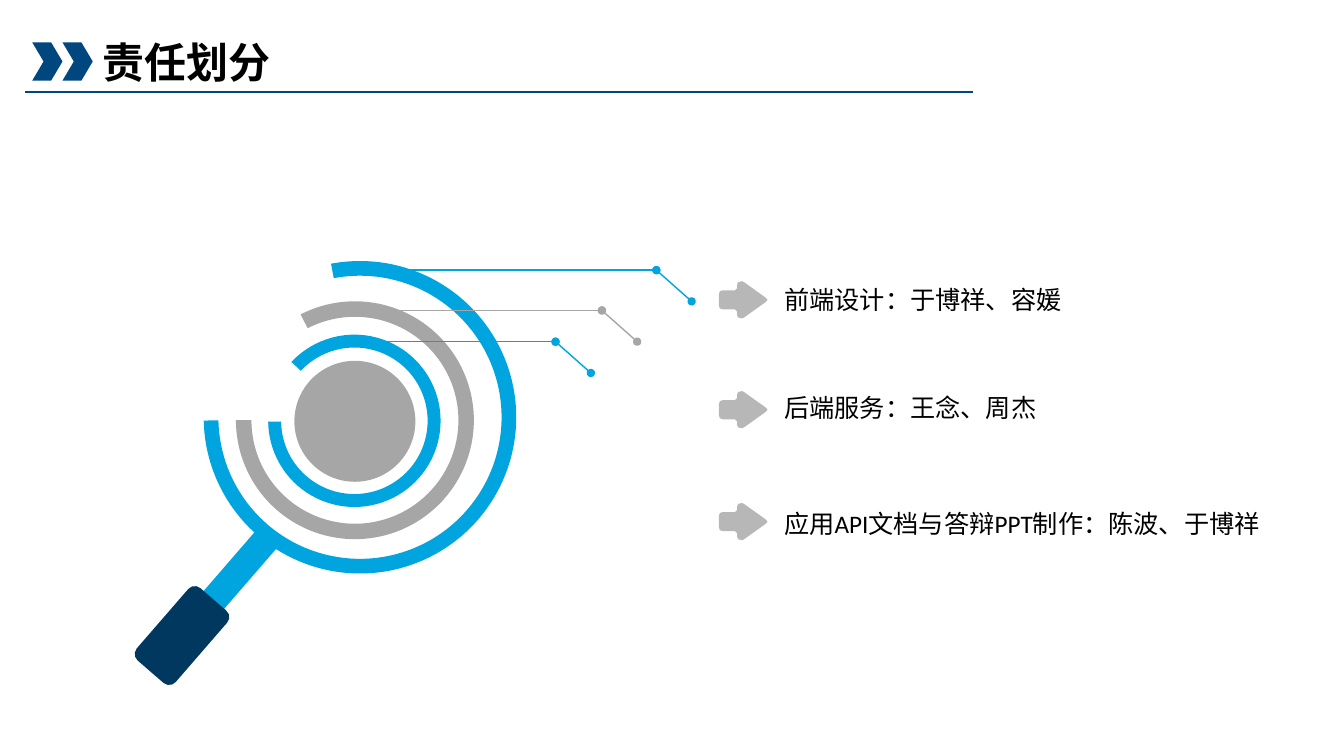
from pptx import Presentation, util as u
from pptx.dml import color
from pptx.enum import shapes, text
from pptx.oxml import parse_xml, ns

BLUE, GRAY, NAVY, DEEP = "00A5E0", "A6A6A6", "00467F", "003860"
SHAPE = shapes.MSO_SHAPE


def paint(part, fill, turn=0, adjust=()):
    part.shadow.inherit = False
    part.fill.solid()
    part.fill.fore_color.rgb = color.RGBColor.from_string(fill)
    part.line.fill.background()
    part.rotation = turn
    for index, value in enumerate(adjust):
        part.adjustments[index] = value


def draw_line(start, end, hue, width, dots=False):
    rule = slide.shapes.add_connector(
        shapes.MSO_CONNECTOR.STRAIGHT, *(u.Inches(v) for v in start + end))
    rule.line.color.rgb = color.RGBColor.from_string(hue)
    rule.line.width = u.Pt(width)
    if dots:
        for side in ("headEnd", "tailEnd"):
            rule.line._get_or_add_ln().append(
                parse_xml(f'<a:{side} {ns.nsdecls("a")} type="oval"/>'))
    rule._element.spPr.append(parse_xml(f'<a:effectLst {ns.nsdecls("a")}/>'))


deck = Presentation()
deck.slide_width, deck.slide_height = u.Inches(13.33), u.Inches(7.5)
slide = deck.slides.add_slide(deck.slide_layouts[5])

heading = slide.shapes.title
heading.left, heading.top = u.Inches(0.92), u.Inches(0.31)
heading.width, heading.height = u.Inches(2.9), u.Inches(1.11)
heading.text_frame.text = "责任划分"
heading.text_frame.auto_size = text.MSO_AUTO_SIZE.NONE
heading.text_frame.vertical_anchor = text.MSO_ANCHOR.TOP
heading_line = heading.text_frame.paragraphs[0]
heading_line.alignment = text.PP_ALIGN.LEFT
heading_font = heading_line.runs[0].font
heading_font.name, heading_font.size, heading_font.bold = "Arial", u.Pt(30), True
heading_font.color.rgb = color.RGBColor.from_string("000000")

draw_line((0.25, 0.91), (9.65, 0.91), NAVY, 1.5)
for column in range(2):
    chevron = slide.shapes.add_shape(
        SHAPE.CHEVRON, u.Inches(0.32 + 0.3 * column), u.Inches(0.42),
        u.Inches(0.3), u.Inches(0.38))
    paint(chevron, NAVY, adjust=[0.375])

ANGLE_UNIT = 0.6
lens_and_handle = [
    (SHAPE.BLOCK_ARC, 2.34, 2.99, 2.36, 2.36, GRAY, 45,
     (197.83 * ANGLE_UNIT, 135.07 * ANGLE_UNIT, 0.065)),
    (SHAPE.RECTANGLE, 2.17, 5.14, 0.27, 1.2, BLUE, 40.9, ()),
    (SHAPE.ROUNDED_RECTANGLE, 1.55, 5.83, 0.51, 0.95, DEEP, 40.9, ()),
    (SHAPE.BLOCK_ARC, 2.02, 2.59, 3.1, 3.1, BLUE, 45,
     (214.33 * ANGLE_UNIT, 133.78 * ANGLE_UNIT, 0.047)),
    (SHAPE.BLOCK_ARC, 2.66, 3.32, 1.71, 1.71, BLUE, 45,
     (178.06 * ANGLE_UNIT, 134.45 * ANGLE_UNIT, 0.075)),
    (SHAPE.OVAL, 2.92, 3.58, 1.2, 1.2, GRAY, 0, ()),
]
for kind, left, top, width, height, hue, turn, adjust in lens_and_handle:
    piece = slide.shapes.add_shape(
        kind, *(u.Inches(v) for v in (left, top, width, height)))
    paint(piece, hue, turn, adjust)

for bend, level, hue in [(6.51, 2.68, BLUE), (5.97, 3.08, GRAY), (5.51, 3.39, BLUE)]:
    draw_line((bend + 0.35, level + 0.31), (bend, level), hue, 1, dots=True)
    draw_line((bend, level), (3.58, level), hue, 1, dots=True)

upper_half = [(0, 0.13), (0.01, 0.1), (0.04, 0.09), (0.16, 0.09), (0.18, 0.07),
              (0.18, 0.04), (0.19, 0.01), (0.23, 0), (0.25, 0.01),
              (0.46, 0.16), (0.48, 0.18)]
arrow_outline = upper_half + [(x, 0.37 - y) for x, y in reversed(upper_half)]
duties = [
    (2.79, 2.77, 2.98, "Calibri", "前端设计：于博祥、容媛"),
    (3.88, 3.84, 3.12, "Arial", "后端服务：王念、周杰"),
    (4.99, 4.99, 4.94, "Calibri", "应用API文档与答辩PPT制作：陈波、于博祥"),
]
for arrow_top, duty_top, width, face, wording in duties:
    points = [(u.Inches(7.13 + x), u.Inches(arrow_top + y)) for x, y in arrow_outline]
    builder = slide.shapes.build_freeform(*points[0])
    builder.add_line_segments(points[1:], close=True)
    arrow = builder.convert_to_shape()
    paint(arrow, "808080")
    arrow.fill._xPr.solidFill[0].append(
        parse_xml(f'<a:alpha {ns.nsdecls("a")} val="56000"/>'))

    duty = slide.shapes.add_textbox(
        *(u.Inches(v) for v in (7.68, duty_top, width, 0.4)))
    duty.text_frame.word_wrap = True
    duty.text_frame.text = wording
    duty_font = duty.text_frame.paragraphs[0].runs[0].font
    duty_font.name, duty_font.size = face, u.Pt(18)
    duty_font.color.rgb = color.RGBColor.from_string("000000")

deck.save("out.pptx")
